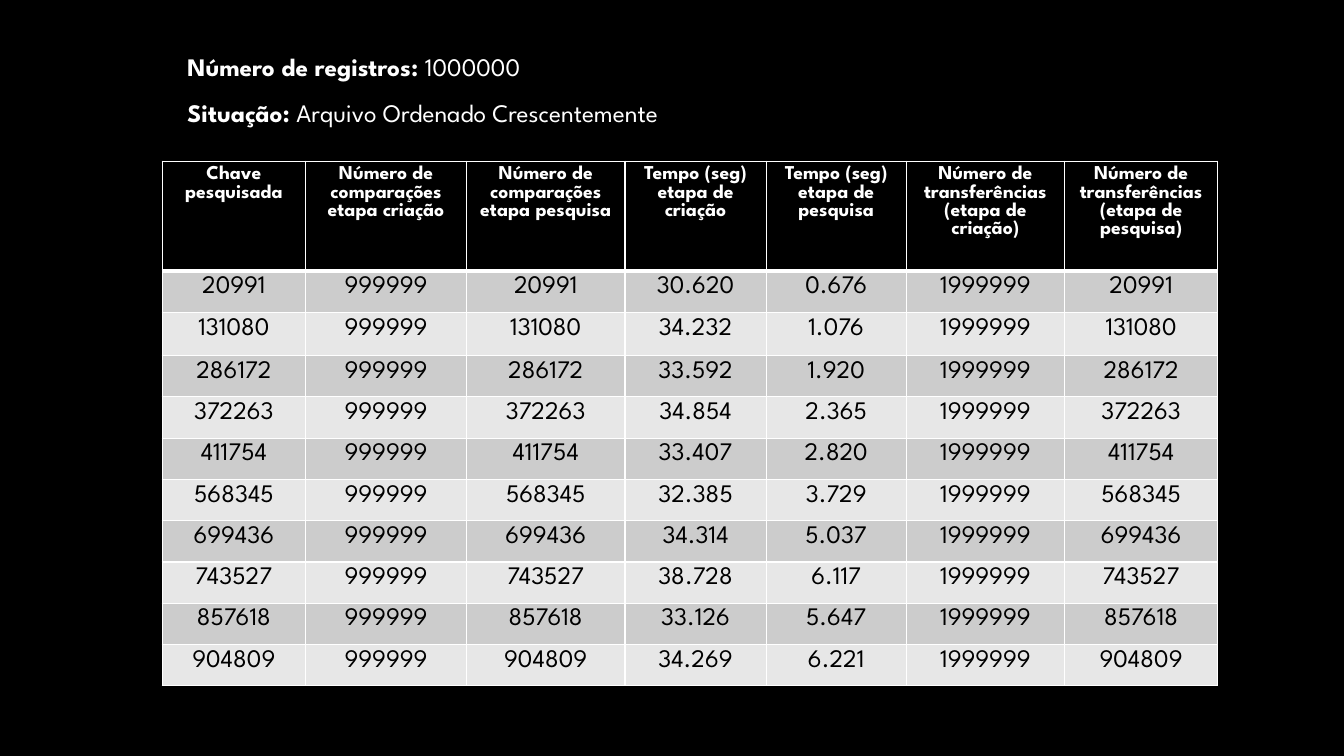
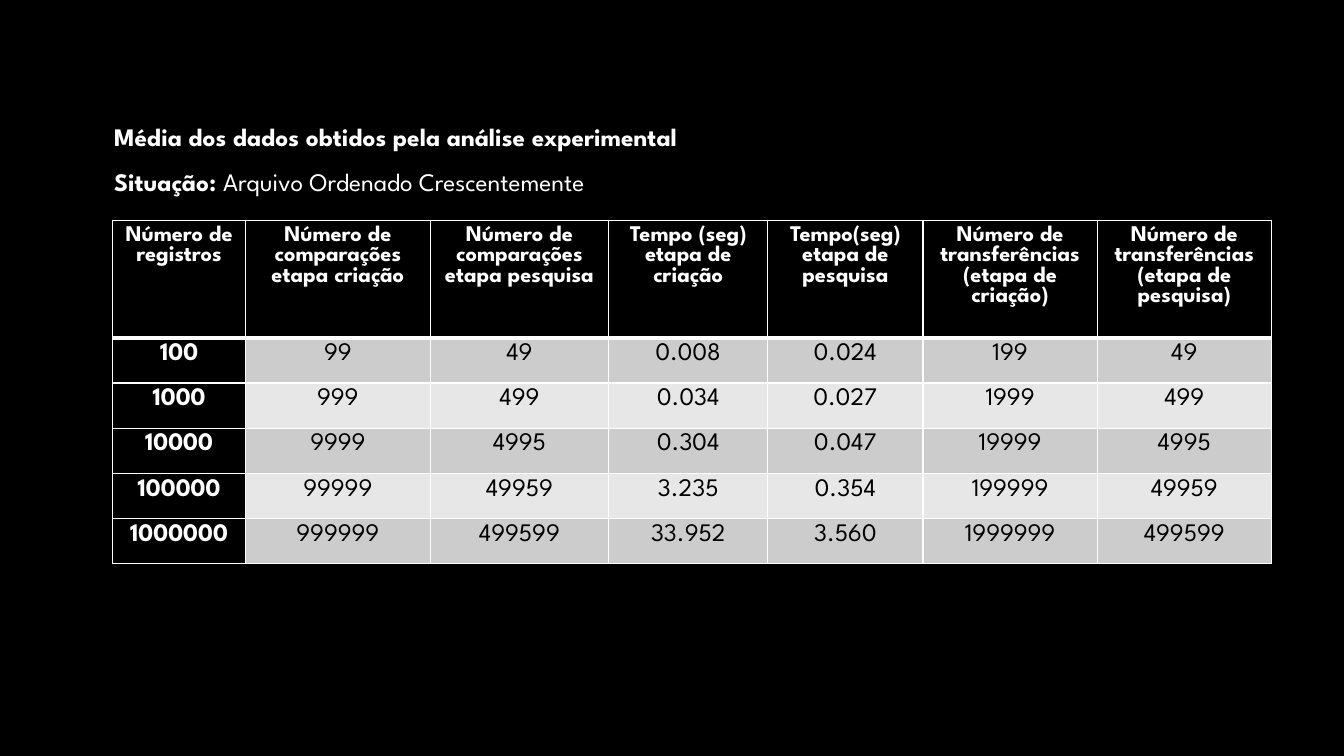
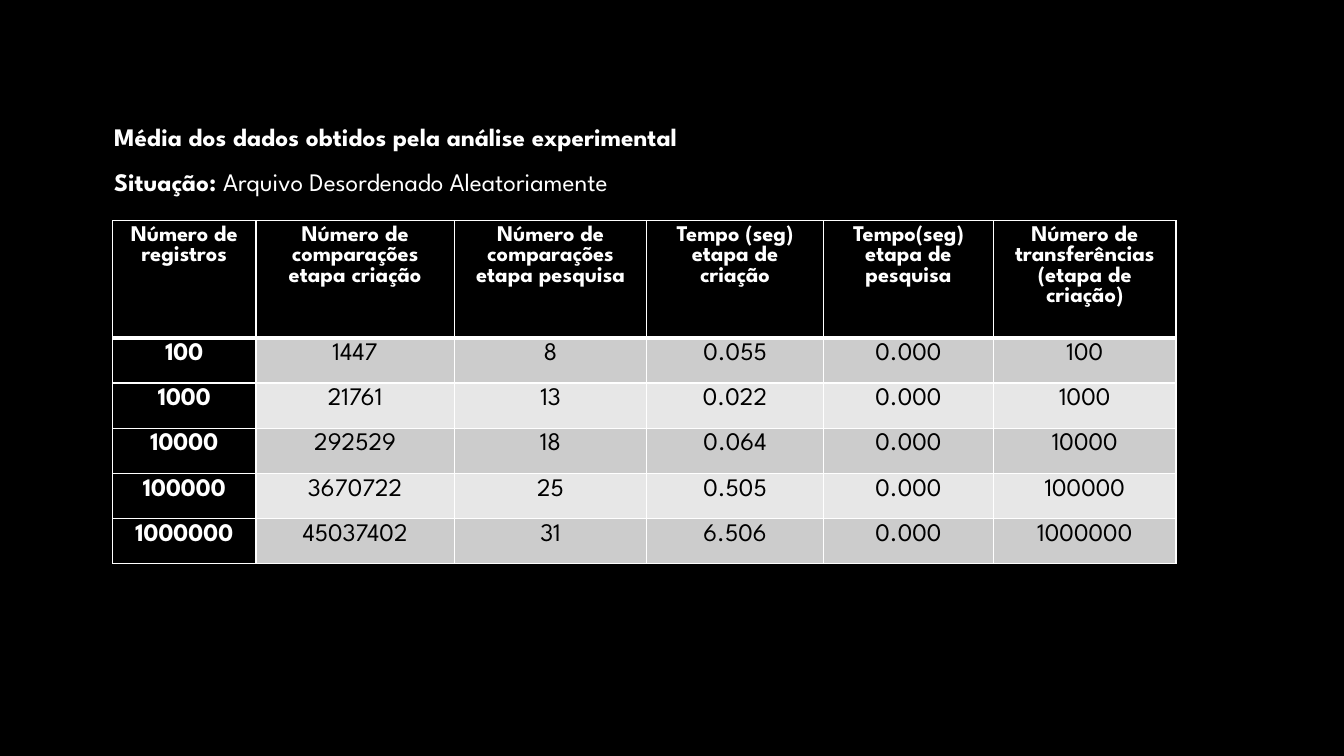
from dataclasses import dataclass

from pptx import Presentation
from pptx.dml.color import RGBColor
from pptx.enum.text import MSO_ANCHOR, MSO_AUTO_SIZE, PP_ALIGN
from pptx.oxml.ns import qn
from pptx.slide import Slide
from pptx.table import _Cell
from pptx.util import Cm, Pt
from lxml import etree

LEFT, CENTER = PP_ALIGN.LEFT, PP_ALIGN.CENTER
TOP = MSO_ANCHOR.TOP
NO_AUTOFIT = MSO_AUTO_SIZE.NONE


@dataclass(frozen=True)
class Theme:
    font: str = "League Spartan"
    black: str = "000000"
    white: str = "FFFFFF"
    bands: tuple[str, str] = ("CCCCCC", "E7E7E7")
    body_size: int = 18
    header_size: int = 16
    small_header_size: int = 14
    line: float = 1
    thick_line: float = 3


THEME = Theme()


@dataclass(frozen=True)
class Heading:
    """Lines of (bold text, regular text); place and size in cm."""
    lines: list[tuple[str, str]]
    left: float
    top: float
    width: float
    height: float = 2.57


@dataclass(frozen=True)
class DataTable:
    """Place, column widths and row heights in cm."""
    left: float
    top: float
    widths: list[float]
    heights: list[float]
    rows: list[list[str]]
    header_size: int = THEME.header_size
    dark_first_col: bool = True


# Texts and values
CREATION_COMPARISONS = "Número de comparações etapa criação"
SEARCH_COMPARISONS = "Número de comparações etapa pesquisa"
CREATION_TIME = "Tempo (seg) etapa de criação"
CREATION_TRANSFERS = "Número de transferências (etapa de criação)"
SEARCH_TRANSFERS = "Número de transferências (etapa de pesquisa)"

AVERAGE_HEADER = ["Número de registros", CREATION_COMPARISONS, SEARCH_COMPARISONS,
                  CREATION_TIME, "Tempo(seg) etapa de pesquisa", CREATION_TRANSFERS]
AVERAGE_HEIGHTS = [2.95] + [1.14] * 5

KEY_TIMES = [
    ("20991", "30.620", "0.676"),
    ("131080", "34.232", "1.076"),
    ("286172", "33.592", "1.920"),
    ("372263", "34.854", "2.365"),
    ("411754", "33.407", "2.820"),
    ("568345", "32.385", "3.729"),
    ("699436", "34.314", "5.037"),
    ("743527", "38.728", "6.117"),
    ("857618", "33.126", "5.647"),
    ("904809", "34.269", "6.221"),
]
KEY_ROWS = [
    ["Chave pesquisada", CREATION_COMPARISONS, SEARCH_COMPARISONS, CREATION_TIME,
     "Tempo (seg) etapa de pesquisa", CREATION_TRANSFERS, SEARCH_TRANSFERS],
    *([key, "999999", key, creation, search, "1999999", key]
      for key, creation, search in KEY_TIMES),
]
ORDERED_ROWS = [
    AVERAGE_HEADER + [SEARCH_TRANSFERS],
    ["100", "99", "49", "0.008", "0.024", "199", "49"],
    ["1000", "999", "499", "0.034", "0.027", "1999", "499"],
    ["10000", "9999", "4995", "0.304", "0.047", "19999", "4995"],
    ["100000", "99999", "49959", "3.235", "0.354", "199999", "49959"],
    ["1000000", "999999", "499599", "33.952", "3.560", "1999999", "499599"],
]
RANDOM_ROWS = [
    AVERAGE_HEADER,
    ["100", "1447", "8", "0.055", "0.000", "100"],
    ["1000", "21761", "13", "0.022", "0.000", "1000"],
    ["10000", "292529", "18", "0.064", "0.000", "10000"],
    ["100000", "3670722", "25", "0.505", "0.000", "100000"],
    ["1000000", "45037402", "31", "6.506", "0.000", "1000000"],
]


def average_heading(situation: str) -> Heading:
    return Heading([("Média dos dados obtidos pela análise experimental", ""),
                    ("Situação: ", situation)], 2.62, 2.54, 16.71)


SLIDES = [
    (Heading([("Número de registros: ", "1000000"),
              ("Situação: ", "Arquivo Ordenado Crescentemente")], 4.47, 0.79, 14.94),
     DataTable(4.09, 4.06, [3.61, 4.06, 3.99, 3.56, 3.53, 3.99, 3.86],
               [2.77, 1.04, 1.09] + [1.04] * 8, KEY_ROWS,
               THEME.small_header_size, dark_first_col=False)),
    (average_heading("Arquivo Ordenado Crescentemente"),
     DataTable(2.84, 5.56, [3.35, 4.65, 4.5, 4.01, 3.91, 4.39, 4.39],
               AVERAGE_HEIGHTS, ORDERED_ROWS)),
    (average_heading("Arquivo Desordenado Aleatoriamente"),
     DataTable(2.84, 5.56, [3.61, 5, 4.85, 4.45, 4.29, 4.6],
               AVERAGE_HEIGHTS, RANDOM_ROWS)),
]


# Drawing
def format_run(r, size: int, color: str, bold: bool) -> None:
    r.font.name = THEME.font
    r.font.size = Pt(size)
    r.font.bold = bold
    r.font.color.rgb = RGBColor.from_string(color)


def add_heading(slide: Slide, heading: Heading) -> None:
    sp = slide.shapes.title
    sp.left, sp.top = Cm(heading.left), Cm(heading.top)
    sp.width, sp.height = Cm(heading.width), Cm(heading.height)
    tf = sp.text_frame
    tf.word_wrap = True
    tf.auto_size = NO_AUTOFIT
    tf.vertical_anchor = TOP
    for i, line in enumerate(heading.lines):
        p = tf.add_paragraph() if i else tf.paragraphs[0]
        p.alignment = LEFT
        p.line_spacing = 1.5
        for text, bold in zip(line, (True, False)):
            if text:
                r = p.add_run()
                r.text = text
                format_run(r, THEME.body_size, THEME.white, bold)


def set_borders(cell: _Cell, top: float, bottom: float) -> None:
    tc_pr = cell._tc.get_or_add_tcPr()
    widths = {"a:lnL": THEME.line, "a:lnR": THEME.line, "a:lnT": top, "a:lnB": bottom}
    for tag, width in widths.items():
        ln = etree.SubElement(tc_pr, qn(tag), w=str(Pt(width)))
        fill = etree.SubElement(ln, qn("a:solidFill"))
        etree.SubElement(fill, qn("a:srgbClr"), val=THEME.white)


def add_data_table(slide: Slide, data: DataTable) -> None:
    table = slide.shapes.add_table(
        len(data.rows), len(data.widths), Cm(data.left), Cm(data.top),
        Cm(sum(data.widths)), Cm(sum(data.heights))).table
    table.horz_banding = False
    table.first_col = data.dark_first_col
    for column, width in zip(table.columns, data.widths):
        column.width = Cm(width)
    for row, height in zip(table.rows, data.heights):
        row.height = Cm(height)

    for i, values in enumerate(data.rows):
        for j, text in enumerate(values):
            dark = i == 0 or (j == 0 and data.dark_first_col)
            cell = table.cell(i, j)
            # Borders come before the fill in the cell properties
            set_borders(cell, THEME.thick_line if i == 1 else THEME.line,
                        THEME.thick_line if i == 0 else THEME.line)
            cell.fill.solid()
            cell.fill.fore_color.rgb = RGBColor.from_string(
                THEME.black if dark else THEME.bands[(i - 1) % 2])
            p = cell.text_frame.paragraphs[0]
            p.alignment = CENTER
            r = p.add_run()
            r.text = text
            format_run(r, THEME.body_size if i else data.header_size,
                       THEME.white if dark else THEME.black, dark)


def main() -> None:
    prs = Presentation()
    prs.slide_width, prs.slide_height = Cm(33.87), Cm(19.05)
    # Shared black background
    background = prs.slide_master.background.fill
    background.solid()
    background.fore_color.rgb = RGBColor.from_string(THEME.black)

    layout = prs.slide_layouts.get_by_name("Title Only")
    for heading, data in SLIDES:
        slide = prs.slides.add_slide(layout)
        add_heading(slide, heading)
        add_data_table(slide, data)
    prs.save("out.pptx")


if __name__ == "__main__":
    main()
